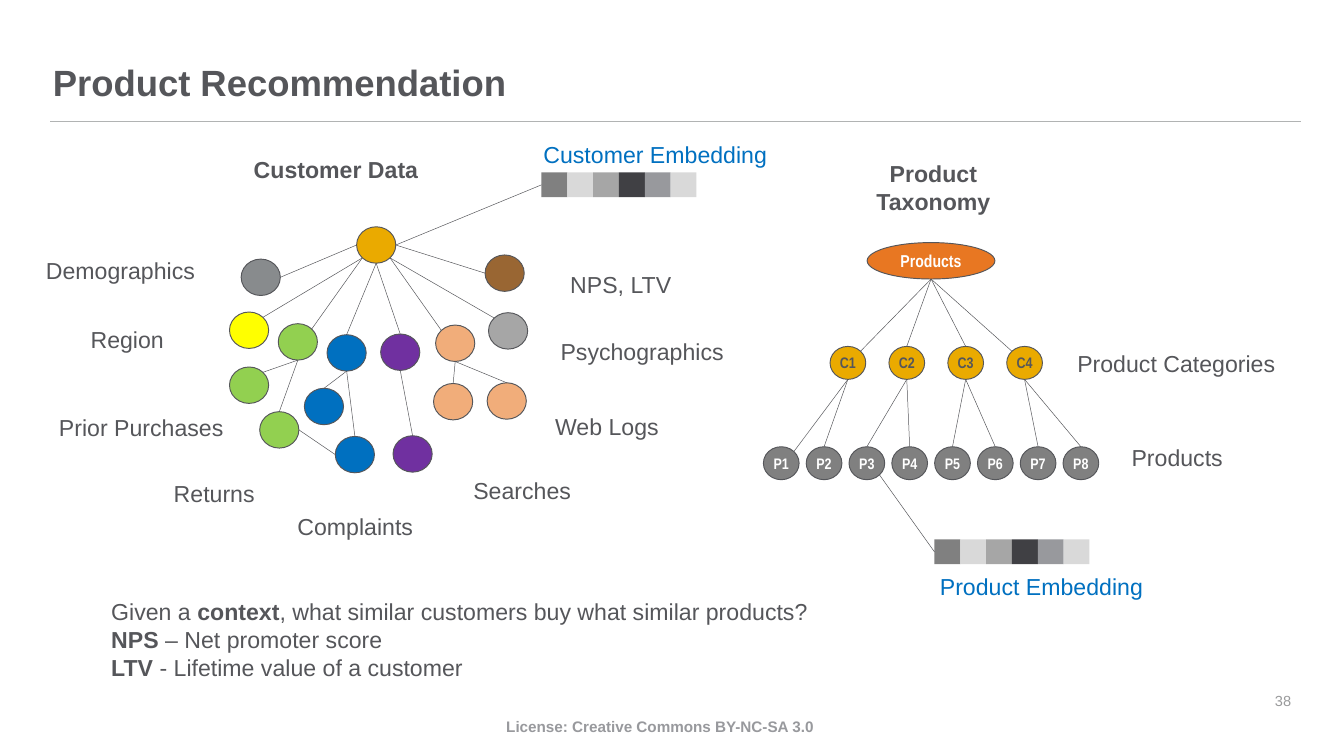
from math import sqrt

from lxml import etree
from pptx import Presentation
from pptx.dml.color import RGBColor
from pptx.enum.shapes import MSO_CONNECTOR, MSO_SHAPE
from pptx.enum.text import MSO_ANCHOR, MSO_AUTO_SIZE, PP_ALIGN
from pptx.oxml.ns import qn
from pptx.util import Inches, Pt

STRAIGHT = MSO_CONNECTOR.STRAIGHT
ELLIPSE, RECTANGLE = MSO_SHAPE.OVAL, MSO_SHAPE.RECTANGLE
LEFT, CENTER, RIGHT = PP_ALIGN.LEFT, PP_ALIGN.CENTER, PP_ALIGN.RIGHT
TOP, MIDDLE = MSO_ANCHOR.TOP, MSO_ANCHOR.MIDDLE
GROW = MSO_AUTO_SIZE.SHAPE_TO_FIT_TEXT

CELL = 0.1
COLUMNS, ROWS = 195.6, 110
DARK, GOLD, GREY, BLUE, WHITE = "55565A", "EAAA00", "808080", "0070C0", "FFFFFF"
GREEN, PURPLE, PEACH = "92D050", "7030A0", "F1AD7A"
DIAGONAL = sqrt(0.5)
SITES = {
    "top": (0, -1), "bottom": (0, 1), "left": (-1, 0), "right": (1, 0),
    "top left": (-DIAGONAL, -DIAGONAL), "top right": (DIAGONAL, -DIAGONAL),
    "bottom left": (-DIAGONAL, DIAGONAL), "bottom right": (DIAGONAL, DIAGONAL),
}
EMBEDDING_COLOURS = (GREY, "D9D9D9", "A6A6A6", "404044", "98999D", "D9D9D9")

CUSTOMER_NODES = {
    "customer": (51.9, 33, GOLD),
    "demographics": (35.1, 37.7, "888B8D"),
    "region": (33.4, 45.4, "FFFF00"),
    "purchases": (40.5, 47.1, GREEN),
    "purchase 1": (33.4, 53.4, GREEN),
    "purchase 2": (37.8, 59.9, GREEN),
    "returns": (47.6, 48.7, BLUE),
    "return": (44.3, 56.5, BLUE),
    "complaint": (48.8, 63.5, BLUE),
    "searches": (55.4, 48.6, PURPLE),
    "search": (57.2, 63.4, PURPLE),
    "web logs": (63.4, 47.3, PEACH),
    "web log 1": (63.1, 55.8, PEACH),
    "web log 2": (70.9, 55.7, PEACH),
    "psychographics": (71.1, 45.5, "A6A6A6"),
    "scores": (70.6, 37.1, "996633"),
}
CUSTOMER_LINKS = (
    ("customer", "left", "demographics", "right"),
    ("customer", "right", "scores", "left"),
    ("customer", "bottom left", "region", "top right"),
    ("customer", "bottom left", "purchases", "top right"),
    ("customer", "bottom", "returns", "top"),
    ("customer", "bottom", "searches", "top"),
    ("customer", "bottom right", "web logs", "top left"),
    ("customer", "bottom right", "psychographics", "top left"),
    ("purchases", "bottom", "purchase 1", "top right"),
    ("purchases", "bottom", "purchase 2", "top"),
    ("purchase 2", "right", "complaint", "left"),
    ("returns", "bottom", "return", "top"),
    ("returns", "bottom", "complaint", "top"),
    ("searches", "bottom", "search", "top"),
    ("web logs", "bottom", "web log 1", "top"),
    ("web logs", "bottom", "web log 2", "top"),
)
LABELS = (
    ("Demographics", 5.7, 36.8, 23.9, DARK),
    ("Region", 12.2, 46.8, 12.8, DARK),
    ("Prior Purchases", 7.6, 59.7, 26.2, DARK),
    ("Returns", 24.3, 69.3, 13.9, DARK),
    ("Complaints", 42.3, 74, 19, DARK),
    ("Searches", 67.9, 68.8, 16.4, DARK),
    ("Web Logs", 79.8, 59.5, 17.3, DARK),
    ("Psychographics", 80.6, 48.6, 26, DARK),
    ("NPS, LTV", 82, 38.8, 16.9, DARK),
    ("Product Categories", 155.8, 50.4, 31.1, DARK),
    ("Products", 163.7, 64, 15.4, DARK),
    ("Customer Embedding", 78.1, 19.9, 34.9, BLUE),
    ("Product Embedding", 135.8, 82.8, 31.9, BLUE),
)


def cells(count):
    """Return the length of a number of grid cells."""
    return Inches(count * CELL)


def colour(value):
    """Return the colour of a hex string."""
    return RGBColor.from_string(value)


def write_text(frame, text, size=24.2, font="Arial", fill=DARK, bold=False, align=LEFT,
               anchor=TOP, wrap=False, insets=(0.1, 0.05), spacing=None):
    """Write lines of text, with the parts between asterisks in bold."""
    frame.word_wrap = wrap
    frame.vertical_anchor = anchor
    frame.margin_left = frame.margin_right = Inches(insets[0])
    frame.margin_top = frame.margin_bottom = Inches(insets[1])
    for number, line in enumerate(text.split("\n")):
        paragraph = frame.add_paragraph() if number else frame.paragraphs[0]
        paragraph.alignment = align
        paragraph.line_spacing = spacing
        for index, part in enumerate(line.split("*")):
            if part:
                run = paragraph.add_run()
                run.text = part
                run.font.size, run.font.name = Pt(size), font
                run.font.bold = bold or index % 2 == 1
                run.font.color.rgb = colour(fill)


def add_text(slide, text, column, row, width, height=5.1, grow=True, **text_format):
    """Add a text box on the grid."""
    box = slide.shapes.add_textbox(*map(cells, (column, row, width, height)))
    write_text(box.text_frame, text, **text_format)
    box.text_frame.auto_size = GROW if grow else MSO_AUTO_SIZE.NONE


def add_shape(slide, kind, column, row, width, height, fill, outlined=True):
    """Add a filled shape on the grid."""
    shape = slide.shapes.add_shape(kind, *map(cells, (column, row, width, height)))
    shape.shadow.inherit = False
    shape.fill.solid()
    shape.fill.fore_color.rgb = colour(fill)
    if outlined:
        shape.line.color.rgb = colour(DARK)
        shape.line.width = Pt(1)
    else:
        shape.line.fill.background()
    return shape


def add_node(slide, text, column, row, fill, width=5.2, height=4.8, size=16, ink=WHITE):
    """Add an ellipse with a name in it."""
    node = add_shape(slide, ELLIPSE, column, row, width, height, fill)
    write_text(node.text_frame, text, size=size, font="Arial Narrow", fill=ink, bold=True,
               align=CENTER, anchor=MIDDLE, insets=(0.13, 0.06))
    return node


def add_line(slide, start, end, fill=DARK, width=0.5):
    """Add a straight line between two points."""
    line = slide.shapes.add_connector(STRAIGHT, *start, *end)
    line.line.color.rgb = colour(fill)
    line.line.width = Pt(width)
    etree.SubElement(line._element.spPr, qn("a:effectLst"))
    return line


def site_point(ellipse, site):
    """Return the point of a named site on an ellipse's edge."""
    across, down = SITES[site]
    return (round(ellipse.left + ellipse.width * (1 + across) / 2),
            round(ellipse.top + ellipse.height * (1 + down) / 2))


def link(slide, source, source_site, target, target_site):
    """Join the edges of two ellipses."""
    add_line(slide, site_point(source, source_site), site_point(target, target_site))


def add_embedding(slide, column, row, node, site):
    """Add a strip of vector cells joined to a node."""
    strip = [add_shape(slide, RECTANGLE, column + 3.76 * index, row, 3.76, 3.6, fill, outlined=False)
             for index, fill in enumerate(EMBEDDING_COLOURS)]
    start = site_point(node, site)
    add_line(slide, start, start).end_connect(strip[0], 1)


def add_customer_tree(slide):
    """Draw the customer data tree and its embedding."""
    nodes = {name: add_shape(slide, ELLIPSE, column, row, 5.7, 5.3, fill)
             for name, (column, row, fill) in CUSTOMER_NODES.items()}
    for source, source_site, target, target_site in CUSTOMER_LINKS:
        link(slide, nodes[source], source_site, nodes[target], target_site)
    add_embedding(slide, 78.8, 25.1, nodes["customer"], "right")


def add_product_tree(slide):
    """Draw the product taxonomy and its embedding."""
    root = add_node(slide, "Products", 126.2, 35.3, "E87722", width=18.6, height=5.3, size=18)
    categories = [add_node(slide, f"C{index + 1}", 120.8 + 8.57 * index, 50.4, GOLD, ink=DARK)
                  for index in range(4)]
    products = [add_node(slide, f"P{index + 1}", 111.1 + 6.23 * index, 65, GREY)
                for index in range(8)]
    for category, site in zip(categories, ("top right", "top", "top", "top left")):
        link(slide, root, "bottom", category, site)
    for index, product in enumerate(products):
        link(slide, categories[index // 2], "bottom", product, "top" if index else "top right")
    add_embedding(slide, 136, 78.5, products[2], "bottom right")


def main():
    """Build the slide and save it."""
    presentation = Presentation()
    presentation.slide_width, presentation.slide_height = cells(COLUMNS), cells(ROWS)
    slide = presentation.slides.add_slide(presentation.slide_layouts[6])
    add_line(slide, (cells(7.3), cells(17.7)), (cells(189.4), cells(17.7)), fill="B1B3B3", width=1)
    add_text(slide, "License: Creative Commons BY-NC-SA 3.0", 57.5, 103.9, 77.1, 3.7,
             size=16, fill="98999D", bold=True, align=CENTER, wrap=True)
    add_text(slide, "Product Recommendation", 6.7, 8.4, 182.2, 8.9, grow=False, size=38.2,
             bold=True, wrap=True, insets=(0.1, 0.1), spacing=0.9)
    add_text(slide, "38", 177.2, 97.7, 11.7, 8.4, grow=False, size=15.3, fill="999A9B",
             align=RIGHT, anchor=MIDDLE, wrap=True, insets=(0.1, 0.1))
    add_customer_tree(slide)
    add_product_tree(slide)
    add_text(slide, "Customer Data", 35.8, 22.1, 26.2, bold=True, align=CENTER)
    add_text(slide, "Product\nTaxonomy", 126.5, 22.7, 18.7, 9.2, bold=True, align=CENTER)
    for text, column, row, width, fill in LABELS:
        add_text(slide, text, column, row, width, fill=fill)
    add_text(slide, "Given a *context*, what similar customers buy what similar products?\n"
             "*NPS* – Net promoter score\n*LTV* - Lifetime value of a customer",
             15.2, 86.5, 104.4, 17.3)
    presentation.save("out.pptx")


if __name__ == "__main__":
    main()
